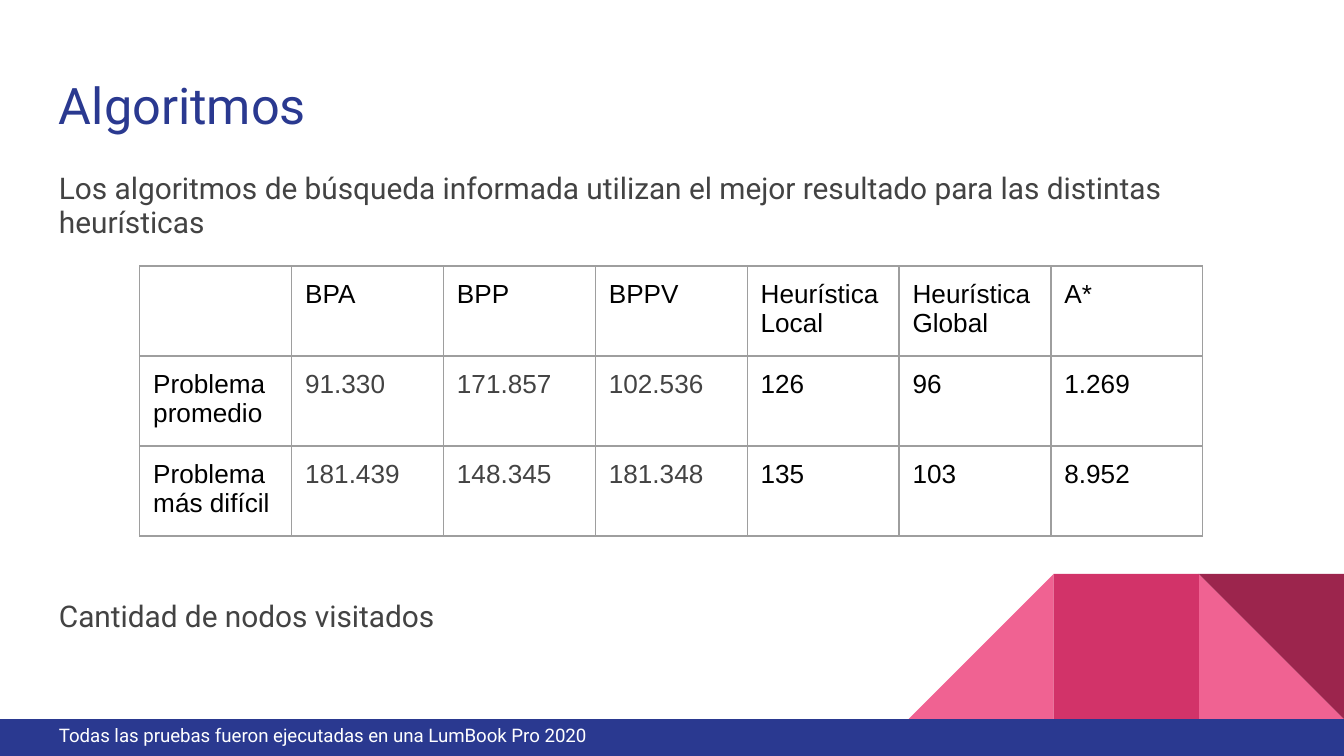
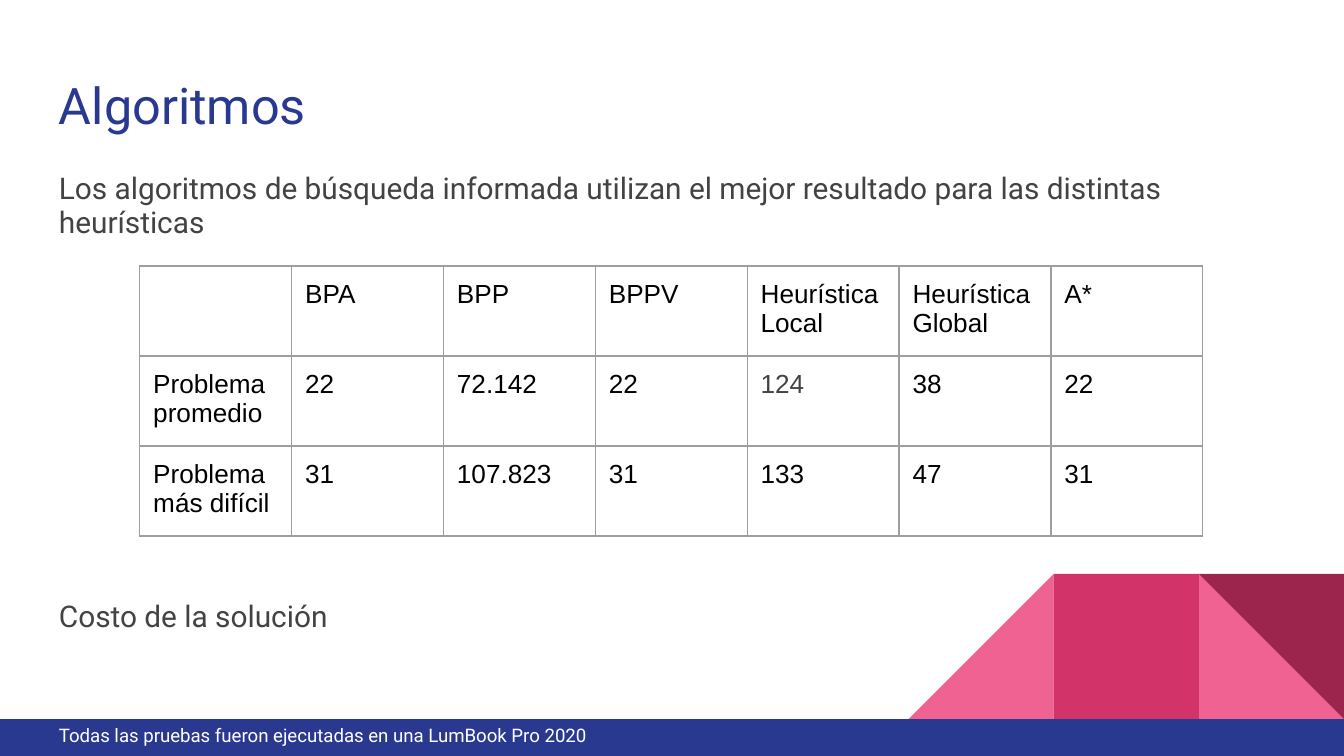
from itertools import product

from lxml import etree
from pptx import Presentation, util as u
from pptx.dml.color import RGBColor
from pptx.enum import shapes, text
from pptx.oxml.ns import qn

NAVY, PINK, ROSE, WINE = "2A3990", "F06292", "D23369", "9C254D"
GREY, RULE, BLACK, WHITE = "434343", "9E9E9E", "000000", "FFFFFF"
INSET = {f"margin_{side}": u.Inches(0.1) for side in ("left", "right", "top", "bottom")}
TITLE = {"name": "Roboto", "size": u.Pt(27)}
BODY = {"name": "Roboto", "size": u.Pt(16)}
NOTE = {"name": "Roboto", "size": u.Pt(10)}
CELL = {"name": "Arial", "size": u.Pt(14)}
LEFT, UNIT, FLOOR = 0.34, 1.08, 5.35
HEAD = ["", "BPA", "BPP", "BPPV", "Heurística Local", "Heurística Global", "A*"]
INTRO = ("Los algoritmos de búsqueda informada utilizan el mejor resultado "
         "para las distintas heurísticas")
FOOT = "Todas las pruebas fueron ejecutadas en una LumBook Pro 2020"


def assign(item, values):
    """Set each attribute of item from a dict."""
    for key, value in values.items():
        setattr(item, key, value)


def paint(target, color):
    """Colour a fill with a hex string."""
    target.solid()
    target.fore_color.rgb = RGBColor.from_string(color)


def write(para, words, font, color):
    """Write one styled run in a paragraph."""
    run = para.add_run()
    run.text = words
    assign(run.font, font)
    paint(run.font.fill, color)


def add_text(slide, box, lines, font, color, anchor=text.MSO_ANCHOR.TOP):
    """Add a text box; each line is its words and paragraph format."""
    frame = slide.shapes.add_textbox(*map(u.Inches, box)).text_frame
    assign(frame, {**INSET, "word_wrap": True, "vertical_anchor": anchor})
    for count, (words, form) in enumerate(lines):
        para = frame.add_paragraph() if count else frame.paragraphs[0]
        assign(para, form)
        write(para, words, font, color)


def add_block(slide, kind, box, color, turn=0):
    """Add a plain filled shape."""
    block = slide.shapes.add_shape(kind, *map(u.Inches, box))
    block.rotation = turn
    block.shadow.inherit = False
    paint(block.fill, color)
    block.line.fill.background()


def add_decor(slide):
    """Draw the corner pattern and the bottom band."""
    rect, wedge = shapes.MSO_SHAPE.RECTANGLE, shapes.MSO_SHAPE.RIGHT_TRIANGLE
    pieces = [(wedge, 1, PINK, 0), (wedge, 3, PINK, 270),
              (rect, 2, ROSE, 0), (wedge, 1, WINE, 180)]
    for kind, step, color, turn in pieces:
        box = (10 - step * UNIT, FLOOR - UNIT, UNIT, UNIT)
        add_block(slide, kind, box, color, turn)
    add_block(slide, rect, (0, FLOOR, 10, 0.28), NAVY)


def add_rules(cell):
    """Draw the four borders of a cell."""
    props = cell._tc.get_or_add_tcPr()
    for place, tag in enumerate(("a:lnL", "a:lnR", "a:lnT", "a:lnB")):
        line = etree.Element(qn(tag), w=str(u.Pt(0.75)))
        fill = etree.SubElement(line, qn("a:solidFill"))
        etree.SubElement(fill, qn("a:srgbClr"), val=RULE)
        props.insert(place, line)


def add_grid(slide, rows, muted):
    """Add the results table, with muted cells in grey."""
    wide, high = 1.13, 0.67
    box = (1.04, 1.98, wide * len(HEAD), high * len(rows))
    grid = slide.shapes.add_table(len(rows), len(HEAD), *map(u.Inches, box)).table
    assign(grid, {"first_row": False, "horz_banding": False})
    for col in grid.columns:
        col.width = u.Inches(wide)
    for row in grid.rows:
        row.height = u.Inches(high)
    for spot in product(range(len(rows)), range(len(HEAD))):
        cell = grid.cell(*spot)
        assign(cell, INSET)
        cell.fill.background()
        add_rules(cell)
        words = rows[spot[0]][spot[1]]
        if words:
            color = GREY if spot in muted else BLACK
            write(cell.text_frame.paragraphs[0], words, CELL, color)


def add_page(deck, label, mean, hard, muted):
    """Build one slide of results."""
    slide = deck.slides.add_slide(deck.slide_layouts[6])
    add_decor(slide)
    add_text(slide, (LEFT, 0.45, 9.32, 0.66), [("Algoritmos", {})],
             TITLE, NAVY, text.MSO_ANCHOR.MIDDLE)
    lines = [(INTRO, {"line_spacing": 0.95}),
             (label, {"line_spacing": 0.95, "space_before": u.Pt(193)})]
    add_text(slide, (LEFT, 1.18, 9.32, 3.65), lines, BODY, GREY)
    rows = [HEAD, ["Problema promedio", *mean], ["Problema más difícil", *hard]]
    add_grid(slide, rows, muted)
    add_text(slide, (LEFT, 5.3, 7.6, 0.37), [(FOOT, {})], NOTE, WHITE)


def main():
    """Build and save the deck."""
    deck = Presentation()
    assign(deck, {"slide_width": u.Inches(10), "slide_height": u.Inches(5.625)})
    add_page(deck, "Cantidad de nodos visitados",
             ["91.330", "171.857", "102.536", "126", "96", "1.269"],
             ["181.439", "148.345", "181.348", "135", "103", "8.952"],
             set(product((1, 2), (1, 2, 3))))
    add_page(deck, "Costo de la solución",
             ["22", "72.142", "22", "124", "38", "22"],
             ["31", "107.823", "31", "133", "47", "31"],
             {(1, 4)})
    deck.save("out.pptx")


if __name__ == "__main__":
    main()
